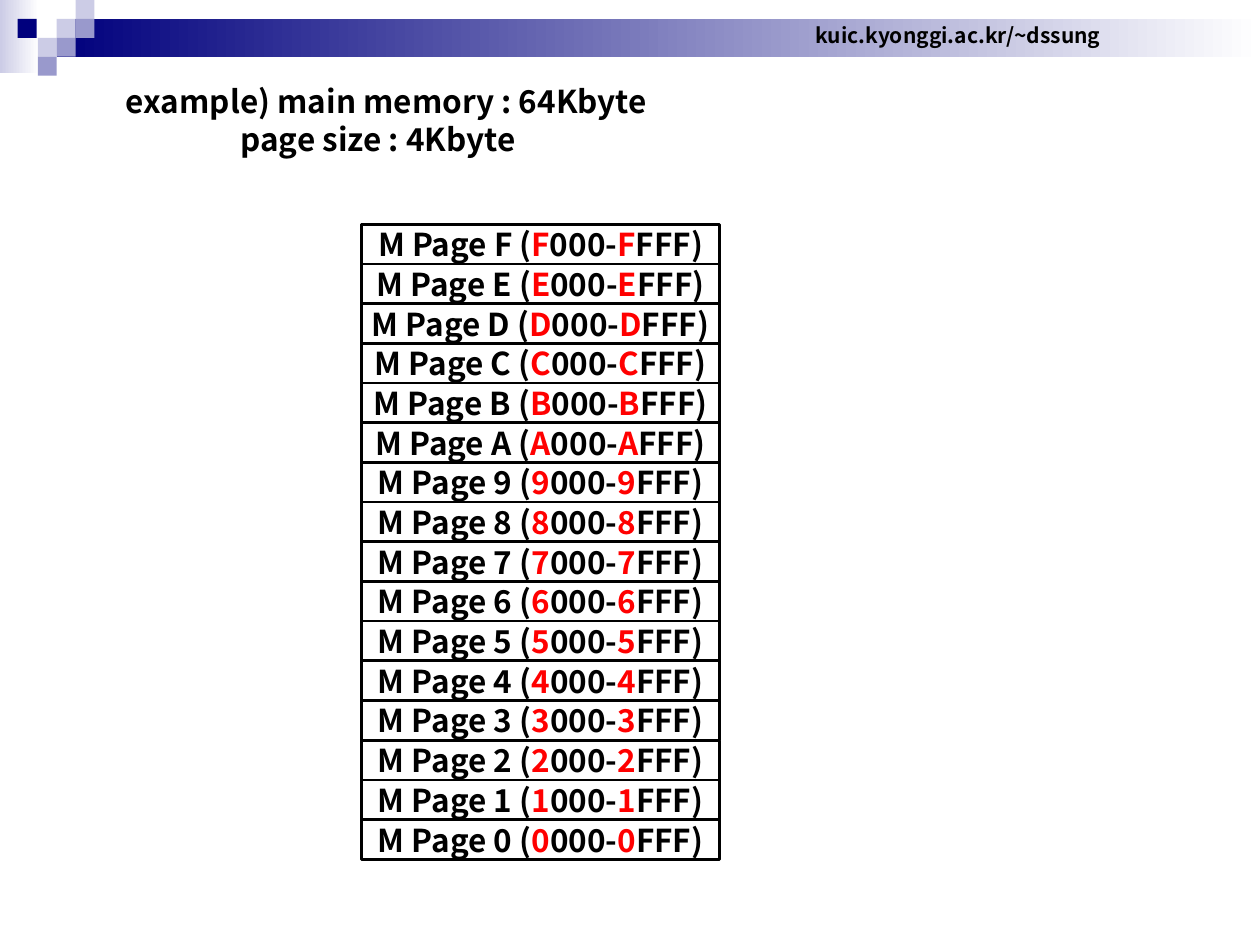
from dataclasses import dataclass

from pptx import Presentation
from pptx.dml.color import RGBColor
from pptx.enum.shapes import MSO_SHAPE
from pptx.enum.text import MSO_ANCHOR, MSO_AUTO_SIZE, PP_ALIGN
from pptx.util import Inches, Pt

RECT = MSO_SHAPE.RECTANGLE
MIDDLE, TOP = MSO_ANCHOR.MIDDLE, MSO_ANCHOR.TOP
CENTER, LEFT = PP_ALIGN.CENTER, PP_ALIGN.LEFT
GROW = MSO_AUTO_SIZE.SHAPE_TO_FIT_TEXT


@dataclass
class Theme:
    font: str = "Noto Sans CJK KR"
    ink: str = "000000"
    paper: str = "FFFFFF"
    accent: str = "FF0000"
    navy: str = "00007D"
    mid: str = "9999CC"
    pale: str = "CCCCE6"
    small: int = 12
    body: int = 18
    rule: float = 1.5


class Deck:
    """Draws the elements of one slide in a shared style."""

    def __init__(self, slide, theme):
        self.slide = slide
        self.theme = theme

    def block(self, box, color):
        shape = self.slide.shapes.add_shape(RECT, *map(Inches, box))
        shape.shadow.inherit = False
        shape.line.fill.background()
        shape.fill.solid()
        shape.fill.fore_color.rgb = RGBColor.from_string(color)
        return shape

    def fade(self, box, color):
        fill = self.block(box, color).fill
        fill.gradient()
        fill.gradient_angle = 180
        for stop, tone in zip(fill.gradient_stops, (self.theme.paper, color)):
            stop.color.rgb = RGBColor.from_string(tone)

    def style(self, para, size, align):
        para.alignment = align
        font = para.font
        font.name, font.size, font.bold = self.theme.font, Pt(size), True
        font.color.rgb = RGBColor.from_string(self.theme.ink)

    def label(self, box, lines, size, align, anchor):
        frame = self.slide.shapes.add_textbox(*map(Inches, box)).text_frame
        frame.word_wrap = False
        frame.auto_size = GROW
        frame.vertical_anchor = anchor
        frame.text = "\n".join(lines)
        for para in frame.paragraphs:
            self.style(para, size, align)
        return frame

    def page(self, box, digit):
        theme = self.theme
        shape = self.block(box, theme.paper)
        shape.line.color.rgb = RGBColor.from_string(theme.ink)
        shape.line.width = Pt(theme.rule)
        frame = shape.text_frame
        frame.word_wrap = False
        frame.vertical_anchor = MIDDLE
        para = frame.paragraphs[0]
        self.style(para, theme.body, CENTER)
        for text in (f"M Page {digit} (", digit, "000-", digit, "FFF)"):
            run = para.add_run()
            run.text = text
            tone = theme.accent if text == digit else theme.ink
            run.font.color.rgb = RGBColor.from_string(tone)


def main():
    prs = Presentation()
    prs.slide_width, prs.slide_height = Inches(10), Inches(7.5)
    theme = Theme()
    deck = Deck(prs.slides.add_slide(prs.slide_layouts[6]), theme)

    deck.fade((0, 0, 0.31, 0.58), theme.pale)
    deck.fade((0.45, 0.15, 9.55, 0.3), theme.navy)
    side = 0.15
    tiles = (
        (0.45, 0.15, theme.pale),
        (0.6, 0, theme.pale),
        (0.6, 0.15, theme.mid),
        (0.3, 0.3, theme.pale),
        (0.14, 0.15, theme.navy),
        (0.45, 0.3, theme.mid),
        (0.3, 0.45, theme.mid),
    )
    for left, top, color in tiles:
        deck.block((left, top, side, side), color)

    deck.label((6.37, 0.13, 2.47, 0.3), ["kuic.kyonggi.ac.kr/~dssung"],
               theme.small, CENTER, MIDDLE)
    head = deck.label((0.9, 0.6, 4.38, 0.7),
                      ["example) main memory : 64Kbyte", "page size : 4Kbyte"],
                      theme.body, LEFT, TOP)
    props = head.paragraphs[1]._p.get_or_add_pPr()
    props.set("marL", str(Inches(0.91)))

    digits = "FEDCBA9876543210"
    start, end = 1.78, 6.82
    pitch = (end - start) / len(digits)
    for row, digit in enumerate(digits):
        deck.page((2.87, start + row * pitch, 2.84, pitch), digit)

    prs.save("out.pptx")


if __name__ == "__main__":
    main()
